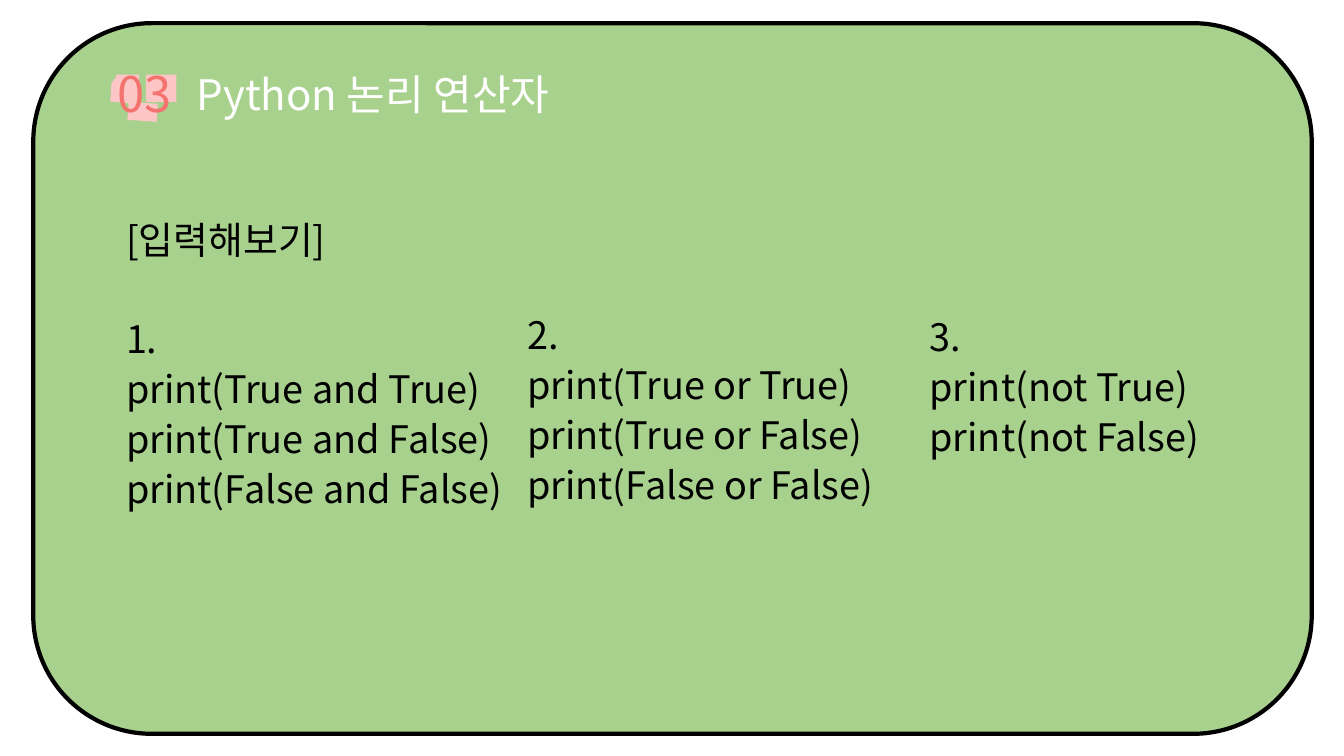
"""Build the slide on Python logical operators."""
from lxml import etree
from pptx import Presentation
from pptx.dml.color import RGBColor
from pptx.enum.shapes import MSO_SHAPE
from pptx.enum.text import MSO_ANCHOR, MSO_AUTO_SIZE, PP_ALIGN
from pptx.oxml.ns import qn
from pptx.util import Inches, Pt

RECT, ROUND_RECT = MSO_SHAPE.RECTANGLE, MSO_SHAPE.ROUNDED_RECTANGLE
TOP, MIDDLE = MSO_ANCHOR.TOP, MSO_ANCHOR.MIDDLE
LEFT, NO_FIT = PP_ALIGN.LEFT, MSO_AUTO_SIZE.NONE
FONT = "Noto Sans CJK KR"
CODE_PITCH = Pt(35.7)


def rgb(value):
    return RGBColor.from_string(value)


def write(sp, box, lines, size, color, anchor=TOP, pitch=None):
    sp.left, sp.top, sp.width, sp.height = map(Inches, box)
    tf = sp.text_frame
    frame_format = {"word_wrap": True, "auto_size": NO_FIT, "vertical_anchor": anchor}
    for name, value in frame_format.items():
        setattr(tf, name, value)
    tf.text = "\n".join(lines)
    para_format = {"alignment": LEFT, "space_before": Pt(0), "line_spacing": pitch or 1.0}
    for p in tf.paragraphs:
        for name, value in para_format.items():
            setattr(p, name, value)
        pPr = p._p.get_or_add_pPr()
        pPr.set("marL", "0")
        pPr.set("indent", "0")
        etree.SubElement(pPr, qn("a:buNone"))
        for r in p.runs:
            r.font.name, r.font.size, r.font.color.rgb = FONT, Pt(size), rgb(color)
            ea = etree.SubElement(r._r.get_or_add_rPr(), qn("a:ea"))
            ea.set("typeface", FONT)


prs = Presentation()
prs.slide_width, prs.slide_height = Inches(13.33), Inches(7.5)
s = prs.slides.add_slide(prs.slide_layouts[1])
title, body = s.shapes.title, s.placeholders[1]

frame = s.shapes.add_shape(ROUND_RECT, *map(Inches, (0.33, 0.23, 12.68, 7.05)))
frame.shadow.inherit = False
frame.fill.solid()
frame.fill.fore_color.rgb = rgb("A9D18E")
frame.line.color.rgb = rgb("000000")
frame.line.width = Pt(3)
title.element.addprevious(frame.element)

badge = s.shapes.add_group_shape()
patches = [
    (1.45, 0.74, 0.3, 0.27, 0),
    (1.15, 0.74, 0.23, 0.27, 0),
    (1.27, 1.02, 0.29, 0.18, 4.1),
    (1.1, 0.84, 0.29, 0.18, 4.1),
    (1.1, 0.84, 0.29, 0.08, 30.3),
]
for *box, angle in patches:
    patch = badge.shapes.add_shape(RECT, *map(Inches, box))
    patch.rotation = angle
    patch.shadow.inherit = False
    patch.fill.solid()
    patch.fill.fore_color.rgb = rgb("FDC6C6")
    patch.line.fill.background()

number = s.shapes.add_textbox(0, 0, 0, 0)
write(number, (1.07, 0.58, 1.46, 0.69), ["03"], 35, "F3746F", MIDDLE)
write(title, (1.85, 0.63, 5.53, 0.61), ["Python 논리 연산자"], 30, "FFFFFF", MIDDLE)

and_lines = ["[입력해보기]", "1.", "print(True and True)", "print(True and False)",
             "print(False and False)"]
or_lines = ["2.", "print(True or True)", "print(True or False)", "print(False or False)"]
not_lines = ["3.", "print(not True)", "print(not False)"]
columns = [
    (body, (1.15, 2.05, 4.52, 3.1), and_lines),
    (s.shapes.add_textbox(0, 0, 0, 0), (5.13, 3.0, 4.52, 2.1), or_lines),
    (s.shapes.add_textbox(0, 0, 0, 0), (9.12, 3.02, 3.65, 1.6), not_lines),
]
for sp, box, lines in columns:
    write(sp, box, lines, 27, "000000", pitch=CODE_PITCH)
body.text_frame.paragraphs[1].space_before = CODE_PITCH

prs.save("out.pptx")
